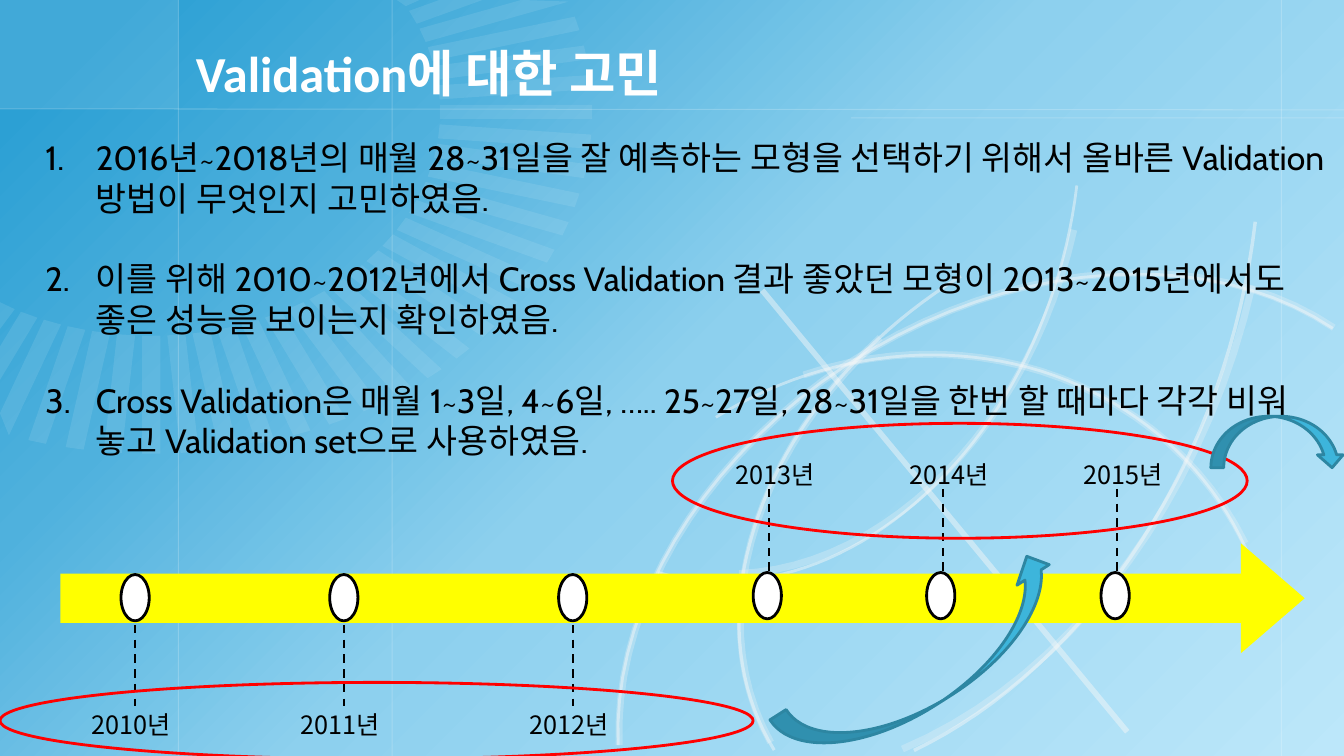
"""Build the slide on validation, with its timeline of years."""
from math import cos, radians, sin

from lxml.etree import SubElement
from pptx import Presentation
from pptx.dml.color import RGBColor
from pptx.enum.dml import MSO_LINE
from pptx.enum.shapes import MSO_CONNECTOR, MSO_SHAPE as SHAPE
from pptx.enum.text import MSO_ANCHOR, MSO_AUTO_SIZE, PP_ALIGN
from pptx.oxml.ns import qn
from pptx.util import Inches, Pt

WHITE = RGBColor(0xFF, 0xFF, 0xFF)
BLACK = RGBColor(0, 0, 0)
RED = RGBColor(0xFF, 0, 0)
YELLOW = RGBColor(0xFF, 0xFF, 0)
SKY = RGBColor(0x3D, 0xB5, 0xDB)
TEAL = RGBColor(0x2D, 0x86, 0xA2)
RAY = RGBColor(0xF2, 0xFA, 0xFE)
ORBIT = RGBColor(0xF8, 0xF8, 0xF8)
BACKDROP = [(6, RGBColor(0x2C, 0xA0, 0xD4)), (26, RGBColor(0x4F, 0xB1, 0xDD)),
            (50, RGBColor(0x8D, 0xD0, 0xEE)), (100, RGBColor(0xBC, 0xE7, 0xFA))]

WIDTH, HEIGHT = 13.33, 7.5
TITLE = "Validation에 대한 고민"
CONCERNS = [
    "2016년~2018년의 매월 28~31일을 잘 예측하는 모형을 선택하기 위해서 올바른 Validation 방법이 무엇인지 고민하였음.",
    "이를 위해 2010~2012년에서 Cross Validation 결과 좋았던 모형이 2013~2015년에서도 좋은 성능을 보이는지 확인하였음.",
    "Cross Validation은 매월 1~3일, 4~6일, ….. 25~27일, 28~31일을 한번 할 때마다 각각 비워 놓고 Validation set으로 사용하였음.",
]
TRAIN_YEARS = [("2010년", 1.34), ("2011년", 3.41), ("2012년", 5.68)]
TEST_YEARS = [("2013년", 7.61), ("2014년", 9.33), ("2015년", 11.06)]
GUIDES = [(1.77, 0, 1.77, HEIGHT), (12.71, 0, 12.71, HEIGHT), (3.89, 0, 3.89, HEIGHT),
          (0, 1.08, WIDTH, 1.09), (8.44, 1.17, WIDTH, 1.17)]
ORBITS = [
    (5, [(6.41, 8.45), (5.62, 6.86), (6.61, 4.65), (8.65, 3.46),
         (10.69, 2.27), (13.05, 2.52), (13.98, 4.03)]),
    (2, [(6.4, 8.45), (5.61, 6.86), (6.6, 4.66), (8.64, 3.47),
         (10.68, 2.28), (13.04, 2.53), (13.97, 4.03)]),
    (5, [(7.97, 3.72), (9.72, 3.13), (11.58, 3.84), (12.35, 5.39)]),
    (2, [(7.1, 4.14), (8.09, 3.53), (9.27, 3.36), (10.32, 3.68),
         (11.37, 4.01), (12.17, 4.78), (12.49, 5.79)]),
    (5, [(8.73, 3.35), (7.3, 4.67), (6.92, 6.5), (7.85, 7.67)]),
    (2.25, [(9.53, 2.74), (8.48, 3.39), (7.71, 4.36), (7.44, 5.38),
            (7.16, 6.39), (7.42, 7.35), (8.12, 7.96)]),
    (5, [(7.33, 5.69), (8.82, 5.63), (10.22, 4.19), (10.65, 2.28)]),
    (2, [(6.53, 5.68), (7.39, 5.93), (8.37, 5.65), (9.18, 4.9),
         (9.99, 4.16), (10.54, 3.03), (10.68, 1.84)]),
    (5, [(7.64, 7.73), (9.78, 7.65), (11.8, 5.57), (12.42, 2.83)]),
    (2.5, [(6.48, 7.71), (7.73, 8.08), (9.13, 7.67), (10.29, 6.6),
           (11.46, 5.52), (12.25, 3.91), (12.45, 2.2)]),
]

prs = Presentation()
prs.slide_width, prs.slide_height = Inches(WIDTH), Inches(HEIGHT)
slide = prs.slides.add_slide(prs.slide_layouts[1])
shapes = slide.shapes


def set_alpha(shape, percent):
    color = shape._element.spPr.find(".//" + qn("a:srgbClr"))
    SubElement(color, qn("a:alpha")).set("val", str(percent * 1000))


def paint(shape, fill=None, line=None, width=2, alpha=None):
    shape.shadow.inherit = False
    if fill is None:
        shape.fill.background()
    else:
        shape.fill.solid()
        shape.fill.fore_color.rgb = fill
    if line is None:
        shape.line.fill.background()
    else:
        shape.line.color.rgb = line
        shape.line.width = Pt(width)
    if alpha:
        set_alpha(shape, alpha)


def add_preset(kind, left, top, width, height, **style):
    shape = shapes.add_shape(kind, *map(Inches, (left, top, width, height)))
    paint(shape, **style)
    return shape


def add_line(ends, color, width, alpha=None):
    line = shapes.add_connector(MSO_CONNECTOR.STRAIGHT, *map(Inches, ends))
    line.line.color.rgb = color
    line.line.width = Pt(width)
    SubElement(line._element.spPr, qn("a:effectLst"))
    if alpha:
        set_alpha(line, alpha)
    return line


def add_outline(points, close, **style):
    corners = [(Inches(x), Inches(y)) for x, y in points]
    builder = shapes.build_freeform(*corners[0])
    builder.add_line_segments(corners[1:], close=close)
    paint(builder.convert_to_shape(), **style)


def add_text(paragraph, text, size, font, color, bold=False):
    run = paragraph.add_run()
    run.text = text
    run.font.size, run.font.name, run.font.bold = Pt(size), font, bold
    run.font.color.rgb = color
    SubElement(run.font._element, qn("a:ea")).set("typeface", font)


def ray_corner(angle, side, radius):
    x = radius * cos(angle) - side * sin(angle)
    y = radius * sin(angle) + side * cos(angle)
    return 1.5 + 1.29 * x, 1.11 + y


def ray_edge(angle, side):
    inner, outer = ray_corner(angle, side, 2.22), ray_corner(angle, side, 3.39)
    reach = min([1] + [max(a, 0) / (a - b) for a, b in zip(inner, outer) if b < 0])
    return [tuple(max(0, a + part * (b - a)) for a, b in zip(inner, outer))
            for part in (0, reach)]


def bezier(points, steps=24):
    curve = []
    for start in range(0, len(points) - 1, 3):
        for step in range(steps + 1):
            t = step / steps
            weights = ((1 - t) ** 3, 3 * t * (1 - t) ** 2, 3 * t * t * (1 - t), t ** 3)
            curve.append([sum(w * p[axis] for w, p in zip(weights, points[start:start + 4]))
                          for axis in (0, 1)])
    return [(x, y) for x, y in curve if x <= WIDTH and y <= HEIGHT]


def add_year(year, center, dot_top, dash, label_left, label_top):
    add_preset(SHAPE.OVAL, center - 0.14, dot_top, 0.28, 0.46, fill=WHITE, line=BLACK)
    add_line(dash, BLACK, 1.5).line.dash_style = MSO_LINE.DASH
    label = shapes.add_textbox(*map(Inches, (label_left, label_top, 1.06, 0.4)))
    label.text_frame.word_wrap = True
    add_text(label.text_frame.paragraphs[0], year, 18, "Noto Sans CJK KR", BLACK)


backdrop = slide.background.fill
backdrop.gradient()
backdrop.gradient_angle = 315
stops = slide._element.find(".//" + qn("a:gsLst"))
for stop in list(stops):
    stops.remove(stop)
for position, color in BACKDROP:
    stop = SubElement(stops, qn("a:gs"))
    stop.set("pos", str(position * 1000))
    SubElement(stop, qn("a:srgbClr")).set("val", str(color))

add_preset(SHAPE.RECTANGLE, 0, 0, 1.77, 1.08, fill=WHITE, alpha=10)
for guide in GUIDES:
    add_line(guide, WHITE, 0.75, alpha=20)
for degrees in range(-30, 121, 5):
    angle = radians(degrees)
    add_outline(ray_edge(angle, -0.07) + ray_edge(angle, 0.07)[::-1], True, fill=RAY, alpha=10)
for width, points in ORBITS:
    add_outline(bezier(points), False, line=ORBIT, width=width, alpha=25 if width == 5 else 45)
add_line((7.56, 2.88, 11.18, 7.26), ORBIT, 4, alpha=45)

title, concerns = slide.placeholders
for holder, box in ((title, (0.6, 0.38, 6.07, 0.68)), (concerns, (0.35, 1.31, 12.99, 3.33))):
    holder.left, holder.top, holder.width, holder.height = map(Inches, box)
    holder.text_frame.auto_size = MSO_AUTO_SIZE.NONE
    shapes._spTree.append(holder._element)
title.text_frame.vertical_anchor = MSO_ANCHOR.MIDDLE
heading = title.text_frame.paragraphs[0]
heading.alignment = PP_ALIGN.RIGHT
add_text(heading, TITLE, 36, "Calibri", WHITE, bold=True)
for index, concern in enumerate(CONCERNS):
    frame = concerns.text_frame
    item = frame.add_paragraph() if index else frame.paragraphs[0]
    item.line_spacing = 1.0
    item.space_before = Pt(29 if index else 0)
    layout = item._p.get_or_add_pPr()
    layout.set("marL", str(Inches(0.5)))
    layout.set("indent", str(Inches(-0.5)))
    SubElement(layout, qn("a:buFont")).set("typeface", "+mj-lt")
    SubElement(layout, qn("a:buAutoNum")).set("type", "arabicPeriod")
    add_text(item, concern, 24, "Cabin", BLACK)

timeline = add_preset(SHAPE.RIGHT_ARROW, 0.6, 5.39, 12.34, 1.09, fill=YELLOW)
timeline.adjustments[0], timeline.adjustments[1] = 0.45, 0.58
for year, center in TRAIN_YEARS:
    add_year(year, center, 5.7, (center, 6.2, center, 7), center - 0.53, 6.99)
for year, center in TEST_YEARS:
    add_year(year, center, 5.68, (center + 0.02, 4.85, center + 0.02, 5.69), center - 0.41, 4.51)
add_preset(SHAPE.OVAL, 6.67, 4.2, 5.7, 1.14, line=RED)
add_preset(SHAPE.OVAL, 0, 6.77, 7.47, 0.76, line=RED)
to_test = add_preset(SHAPE.CURVED_UP_ARROW, 7.59, 6.22, 3.21, 0.76, fill=SKY, line=TEAL)
to_test.rotation = 327.5
add_preset(SHAPE.CURVED_DOWN_ARROW, 12.01, 4.13, 1.33, 0.51, fill=SKY, line=TEAL)

prs.save("out.pptx")
